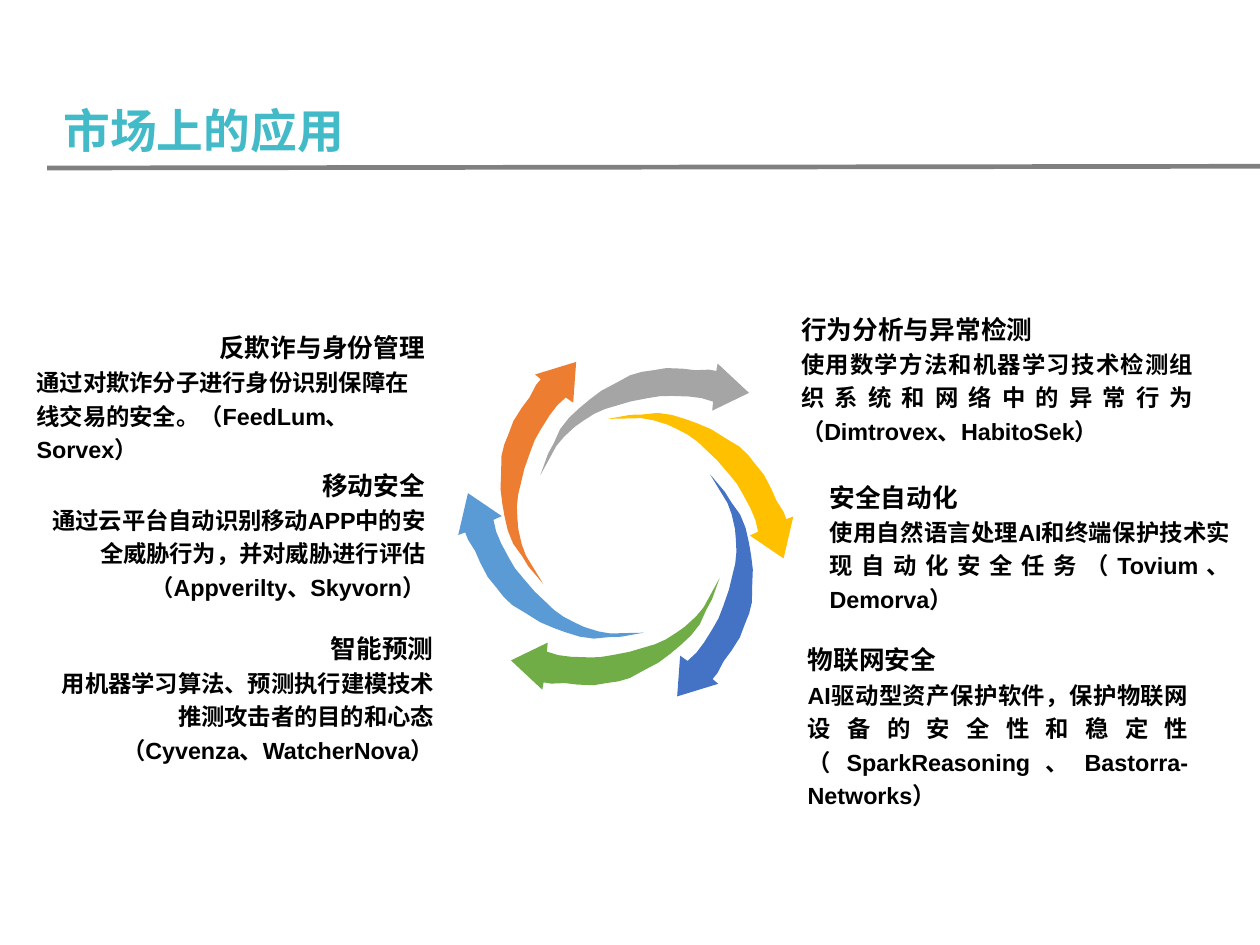
from lxml import etree
from pptx import Presentation
from pptx.dml.color import RGBColor
from pptx.enum import shapes, text
from pptx.oxml import ns
from pptx.util import Inches, Pt

TEAL = RGBColor(0x42, 0xBA, 0xC8)
BLACK = RGBColor(0, 0, 0)
GRAY = RGBColor(0x80, 0x80, 0x80)
GREEN = RGBColor(0x70, 0xAD, 0x47)
BLUE = RGBColor(0x44, 0x72, 0xC4)
YELLOW = RGBColor(0xFF, 0xC0, 0x00)
SILVER = RGBColor(0xA5, 0xA5, 0xA5)
ORANGE = RGBColor(0xED, 0x7D, 0x31)
SKY = RGBColor(0x5B, 0x9B, 0xD5)
CJK_FONT = "Noto Sans CJK SC"
LEFT, RIGHT, JUSTIFY = (text.PP_ALIGN.LEFT, text.PP_ALIGN.RIGHT, text.PP_ALIGN.JUSTIFY)

deck = Presentation()
deck.slide_width = Inches(7.5)
deck.slide_height = deck.slide_width * 3 // 4
page = deck.slides.add_slide(deck.slide_layouts[6])


def add_text(words, place, size, align=LEFT, spacing=1.2, font="Arial", color=BLACK):
    box = page.shapes.add_textbox(*[Inches(length) for length in place])
    frame = box.text_frame
    frame.word_wrap = True
    frame.auto_size = text.MSO_AUTO_SIZE.SHAPE_TO_FIT_TEXT
    para = frame.paragraphs[0]
    para.alignment, para.line_spacing = align, spacing
    span = para.add_run()
    span.text = words
    for name, value in {"size": Pt(size), "bold": True, "name": font}.items():
        setattr(span.font, name, value)
    span.font.color.rgb = color
    east_asian = etree.SubElement(span.font._element, ns.qn("a:ea"))
    east_asian.set("typeface", CJK_FONT)


# One curved arrow, pointing left, is turned by 60 degrees for each step of the ring
arrow_outline = [
    (0.22, 0.13), (0.24, 0.08), (0, 0.12), (0.13, 0.34), (0.15, 0.3),
    (0.19, 0.32), (0.27, 0.34), (0.34, 0.37), (0.43, 0.4), (0.51, 0.41),
    (0.58, 0.42), (0.65, 0.42), (0.74, 0.4), (0.84, 0.38), (0.92, 0.35),
    (0.99, 0.32), (1.07, 0.28), (1.14, 0.23), (1.2, 0.16), (1.25, 0.11),
    (1.33, 0), (1.26, 0.07), (1.19, 0.14), (1.13, 0.18), (1.05, 0.22),
    (0.99, 0.24), (0.92, 0.26), (0.85, 0.27), (0.78, 0.27), (0.69, 0.27),
    (0.59, 0.26), (0.51, 0.25), (0.44, 0.23), (0.35, 0.2), (0.28, 0.17),
]
ring = [
    (GREEN, 3.04, 3.62), (BLUE, 3.61, 3.31), (YELLOW, 3.58, 2.59),
    (SILVER, 3.13, 2.23), (ORANGE, 2.52, 2.57), (SKY, 2.54, 3.25),
]
points = [(Inches(x), Inches(y)) for x, y in arrow_outline]
for step, (color, left, top) in enumerate(ring):
    builder = page.shapes.build_freeform(*points[0])
    builder.add_line_segments(points[1:], close=True)
    arrow = builder.convert_to_shape(Inches(left), Inches(top))
    arrow.rotation = (343.6 - 60 * step) % 360
    arrow.shadow.inherit = False
    arrow.fill.solid()
    arrow.fill.fore_color.rgb = color
    arrow.line.fill.background()

# Heading, description, left, top, width and height of the description,
# heading width, alignments of both
applications = [
    ("行为分析与异常检测",
     "使用数学方法和机器学习技术检测组织系统和网络中的异常行为（Dimtrovex、HabitoSek）",
     4.67, 1.78, 2.53, 0.89, 1.7, JUSTIFY, JUSTIFY),
    ("安全自动化",
     "使用自然语言处理AI和终端保护技术实现自动化安全任务（Tovium、Demorva）",
     4.84, 2.78, 2.58, 0.69, 1.73, JUSTIFY, JUSTIFY),
    ("物联网安全",
     "AI驱动型资产保护软件，保护物联网设备的安全性和稳定性（SparkReasoning、Bastorra-Networks）",
     4.71, 3.75, 2.46, 0.89, 1.65, JUSTIFY, JUSTIFY),
    ("反欺诈与身份管理",
     "通过对欺诈分子进行身份识别保障在线交易的安全。（FeedLum、Sorvex）",
     0.12, 1.89, 2.51, 0.69, 1.68, RIGHT, LEFT),
    ("移动安全",
     "通过云平台自动识别移动APP中的安全威胁行为，并对威胁进行评估（Appverilty、Skyvorn）",
     0.12, 2.71, 2.51, 0.71, 1.68, RIGHT, RIGHT),
    ("智能预测",
     "用机器学习算法、预测执行建模技术推测攻击者的目的和心态（Cyvenza、WatcherNova）",
     0.17, 3.68, 2.51, 0.71, 1.68, RIGHT, RIGHT),
]
for (heading, detail, left, top, width, height,
     heading_width, heading_align, detail_align) in applications:
    heading_left = left + width - heading_width if heading_align == RIGHT else left
    add_text(detail, (left, top + 0.22, width, height), 10, detail_align)
    add_text(heading, (heading_left, top, heading_width, 0.3), 11, heading_align)

rule = page.shapes.add_connector(
    shapes.MSO_CONNECTOR.STRAIGHT, Inches(0.28), Inches(1), Inches(7.5), Inches(0.99))
rule.line.color.rgb = GRAY
rule.line.width = Pt(2)
etree.SubElement(rule._element.spPr, ns.qn("a:effectLst"))
add_text("市场上的应用", (0.28, 0.56, 3.84, 0.44), 20, spacing=1, font=CJK_FONT, color=TEAL)

deck.save("out.pptx")
